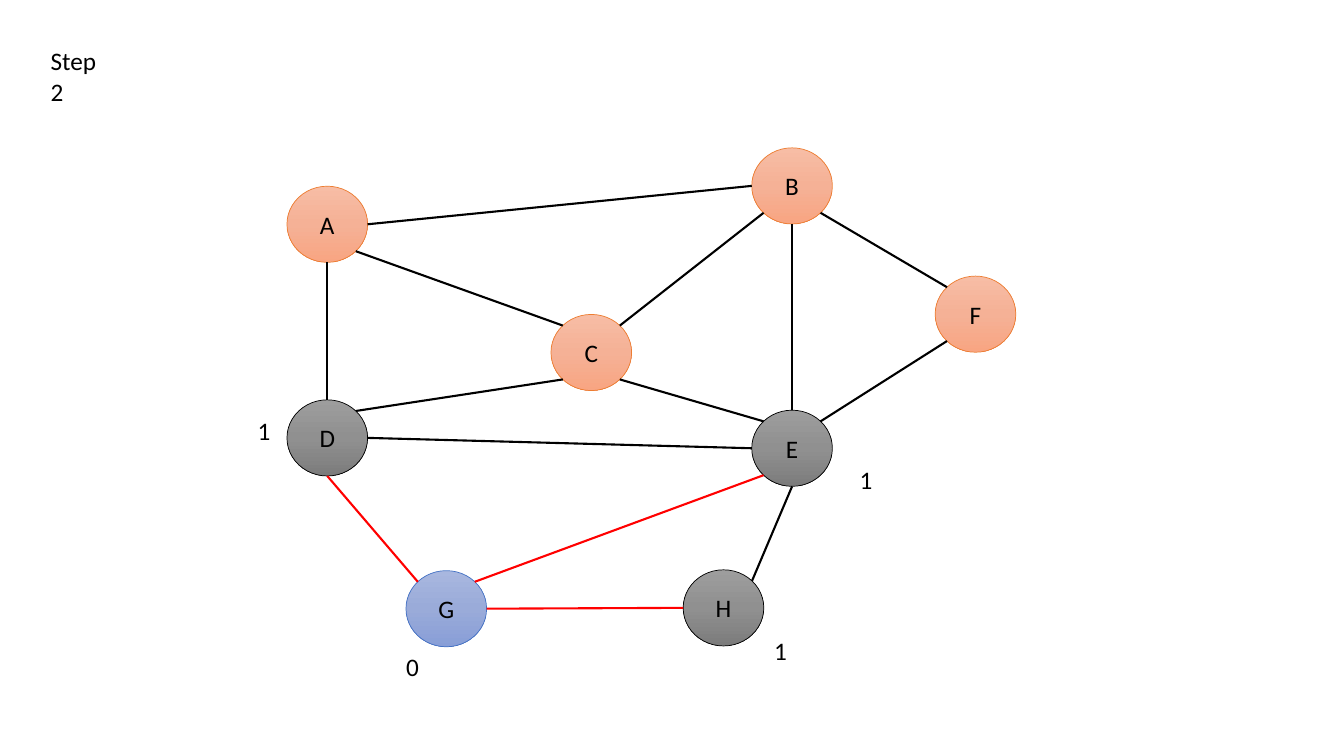
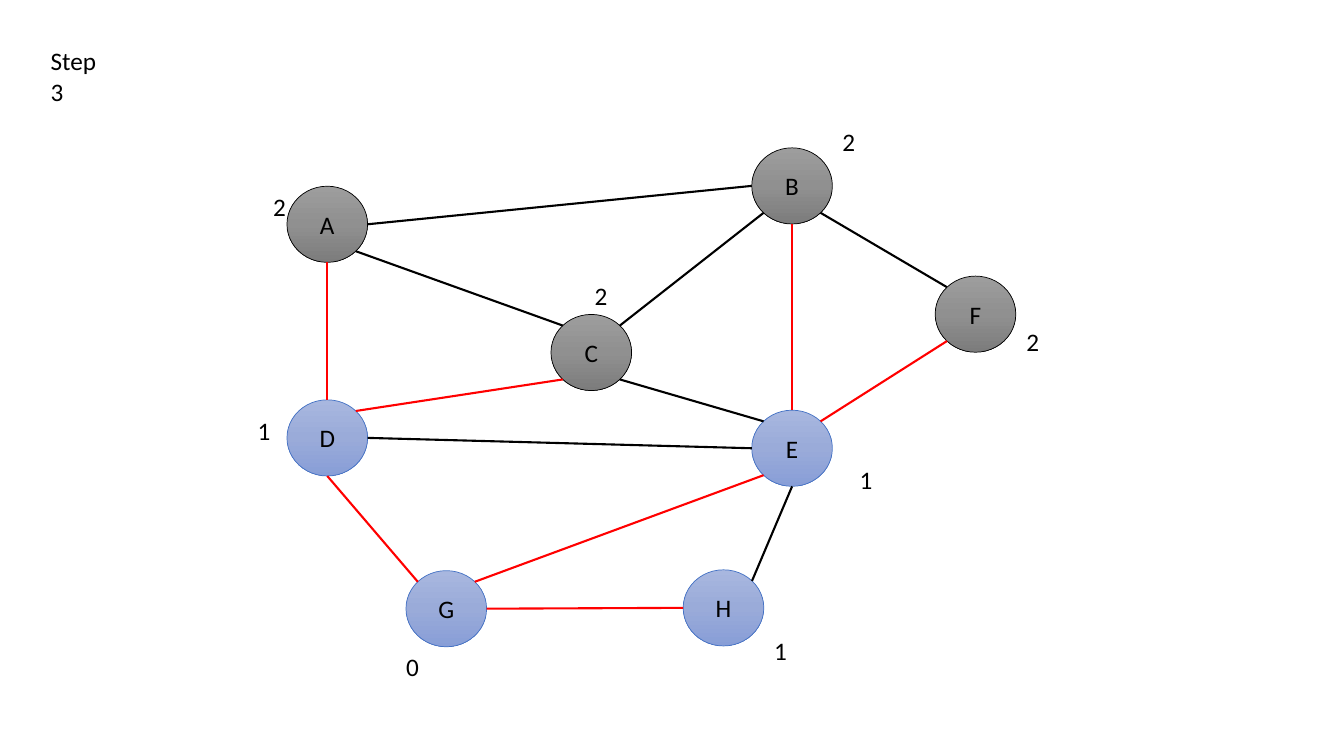
from copy import deepcopy
from math import cos, radians, sin

from pptx import Presentation
from pptx.dml.color import RGBColor
from pptx.enum import shapes, text
from pptx.oxml import ns, xmlchemy
from pptx.util import Pt

BLACK = RGBColor(0x00, 0x00, 0x00)
RED = RGBColor(0xFF, 0x00, 0x00)
ORANGE = RGBColor(0xED, 0x7D, 0x31)
BLUE = RGBColor(0x44, 0x72, 0xC4)
ORANGE_STOPS = [RGBColor(0xF7, 0xBD, 0xA5), RGBColor(0xF5, 0xB1, 0x96), RGBColor(0xF8, 0xA5, 0x82)]
GRAY_STOPS = [RGBColor(0x9D, 0x9D, 0x9D), RGBColor(0x90, 0x90, 0x90), RGBColor(0x7C, 0x7C, 0x7C)]
BLUE_STOPS = [RGBColor(0xA8, 0xB7, 0xDF), RGBColor(0x9A, 0xAB, 0xD9), RGBColor(0x88, 0x9E, 0xD7)]

# Gradient and outline of a node by its state in the search
UNSEEN = (ORANGE_STOPS, ORANGE)
FRONTIER = (GRAY_STOPS, BLACK)
VISITED = (BLUE_STOPS, BLUE)

FONT = "Calibri"
NODE_WIDTH, NODE_HEIGHT = 57.6, 54.4
LABEL_WIDTH, LABEL_HEIGHT = 23.8, 29

# Connection sites of an ellipse, counter-clockwise from the top
TOP, TOP_LEFT, LEFT, BOTTOM_LEFT, BOTTOM, BOTTOM_RIGHT, RIGHT, TOP_RIGHT = range(8)

# Name: (left, top), (label left, label top), distance from G
NODES = {
    "A": ((205, 133), (188, 133), 2),
    "B": ((537, 105.6), (594.6, 87), 2),
    "C": ((393.6, 224.6), (417.6, 197), 2),
    "D": ((205, 285.6), (177, 293), 1),
    "G": ((290, 407.6), (283, 461.6), 0),
    "F": ((668, 197.2), (726, 229.6), 2),
    "H": ((488, 407), (545.8, 450.4), 1),
    "E": ((537, 293), (607, 328), 1),
}

EDGES = [
    ("A", RIGHT, "B", LEFT),
    ("A", BOTTOM, "D", TOP),
    ("D", BOTTOM, "G", TOP_LEFT),
    ("A", BOTTOM_RIGHT, "C", TOP_LEFT),
    ("C", TOP_RIGHT, "B", BOTTOM_LEFT),
    ("B", BOTTOM, "E", TOP),
    ("B", BOTTOM_RIGHT, "F", TOP_LEFT),
    ("F", BOTTOM_LEFT, "E", TOP_RIGHT),
    ("D", TOP_RIGHT, "C", BOTTOM_LEFT),
    ("D", RIGHT, "E", LEFT),
    ("C", BOTTOM_RIGHT, "E", TOP_LEFT),
    ("G", TOP_RIGHT, "E", BOTTOM_LEFT),
    ("G", RIGHT, "H", LEFT),
    ("E", BOTTOM, "H", TOP_RIGHT),
]
TREE_EDGES = {"AD", "DG", "BE", "FE", "DC", "GE", "GH"}


def write(shape, content, align=text.PP_ALIGN.LEFT, anchor=text.MSO_ANCHOR.TOP,
          size=18, color=BLACK, wrap=False):
    frame = shape.text_frame
    frame.word_wrap = wrap
    frame.vertical_anchor = anchor
    para = frame.paragraphs[0]
    para.alignment = align
    span = para.add_run()
    span.text = content
    span.font.name = FONT
    span.font.size = Pt(size)
    span.font.color.rgb = color


def fill_gradient(shape, colors):
    """Fill from top to bottom with evenly spaced colours."""
    shape.fill.gradient()
    shape.fill.gradient_angle = 270
    stop_list = shape._element.spPr.find(".//" + ns.qn("a:gsLst"))
    while len(stop_list) < len(colors):
        stop_list.insert(1, deepcopy(stop_list[0]))
    for index, (stop, color) in enumerate(zip(shape.fill.gradient_stops, colors)):
        stop.color.rgb = color
        stop.position = index / (len(colors) - 1)


def add_title(page, content):
    title = page.shapes.title
    title.left, title.top, title.width, title.height = Pt(29), Pt(29), Pt(60), Pt(29)
    write(title, content)


def add_node(page, name, state):
    (left, top), _, _ = NODES[name]
    node = page.shapes.add_shape(shapes.MSO_SHAPE.OVAL, Pt(left), Pt(top),
                                 Pt(NODE_WIDTH), Pt(NODE_HEIGHT))
    node.shadow.inherit = False
    colors, outline = state
    fill_gradient(node, colors)
    node.line.color.rgb = outline
    node.line.width = Pt(0.5)
    write(node, name, align=text.PP_ALIGN.CENTER, anchor=text.MSO_ANCHOR.MIDDLE, wrap=True)
    return node


def site_point(name, site):
    """Return the place of a connection site on the node's outline."""
    (left, top), _, _ = NODES[name]
    angle = radians(90 + 45 * site)
    return (Pt(left + NODE_WIDTH / 2 * (1 + cos(angle))),
            Pt(top + NODE_HEIGHT / 2 * (1 - sin(angle))))


def add_edge(page, nodes, edge, color):
    start, start_site, end, end_site = edge
    line = page.shapes.add_connector(shapes.MSO_CONNECTOR.STRAIGHT,
                                     *site_point(start, start_site),
                                     *site_point(end, end_site))
    line.line.color.rgb = color
    line.line.width = Pt(1.5)
    line._element.spPr.append(xmlchemy.OxmlElement("a:effectLst"))
    # begin_connect and end_connect know only the four sites of a rectangle
    joints = line._element.find(".//" + ns.qn("p:cNvCxnSpPr"))
    for tag, name, site in (("a:stCxn", start, start_site), ("a:endCxn", end, end_site)):
        joint = xmlchemy.OxmlElement(tag)
        joint.set("id", str(nodes[name].shape_id))
        joint.set("idx", str(site))
        joints.append(joint)


def add_distance(page, name):
    _, (left, top), distance = NODES[name]
    box = page.shapes.add_textbox(Pt(left), Pt(top), Pt(LABEL_WIDTH), Pt(LABEL_HEIGHT))
    write(box, str(distance))


def node_state(distance, frontier):
    if distance > frontier:
        return UNSEEN
    return FRONTIER if distance == frontier else VISITED


def add_step(deck, step):
    """Add a slide with the search after it has reached distance step - 1."""
    page = deck.slides.add_slide(deck.slide_layouts[5])
    add_title(page, f"Step {step}")
    frontier = step - 1
    distances = {name: distance for name, (_, _, distance) in NODES.items()}
    nodes = {name: add_node(page, name, node_state(distance, frontier))
             for name, distance in distances.items()}
    for edge in EDGES:
        start, _, end, _ = edge
        reached = max(distances[start], distances[end]) <= frontier
        in_tree = start + end in TREE_EDGES
        add_edge(page, nodes, edge, RED if reached and in_tree else BLACK)
    for name, distance in distances.items():
        if distance <= frontier:
            add_distance(page, name)


def main():
    deck = Presentation()
    deck.slide_width, deck.slide_height = Pt(960), Pt(540)
    for step in (2, 3):
        add_step(deck, step)
    deck.save("out.pptx")


if __name__ == "__main__":
    main()
